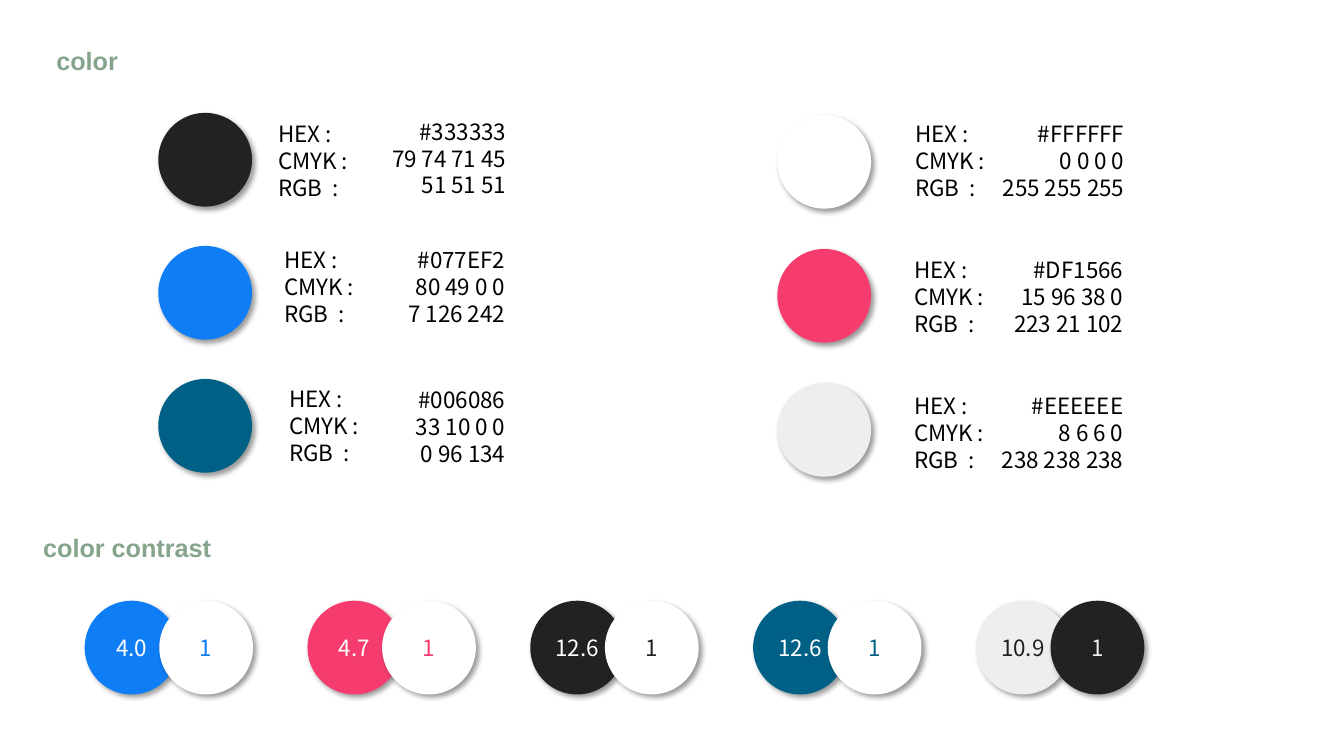
from lxml import etree
from pptx import Presentation
from pptx.dml.color import RGBColor
from pptx.enum.shapes import MSO_SHAPE
from pptx.enum.text import MSO_ANCHOR, MSO_AUTO_SIZE, PP_ALIGN
from pptx.oxml.ns import nsdecls
from pptx.util import Inches, Pt

OVAL = MSO_SHAPE.OVAL
MIDDLE = MSO_ANCHOR.MIDDLE
GROW = MSO_AUTO_SIZE.SHAPE_TO_FIT_TEXT
LEFT, CENTER, RIGHT = PP_ALIGN.LEFT, PP_ALIGN.CENTER, PP_ALIGN.RIGHT

HEADING_FONT = "Arial"
BODY_FONT = "Noto Sans CJK KR"
COLORS = {
    "heading": "86A48B",
    "text": "000000",
    "dark": "222222",
    "white": "FFFFFF",
    "blue": "0F7DF5",
    "pink": "F63C6E",
    "teal": "006086",
    "grey": "EEEEEE",
}
DIAMETER = 0.93
CODE_HEIGHT = 0.91
LABELS = ["HEX :", "CMYK :", "RGB  :"]

# fill, circle left and top, label left and top, values left, top and width, values
SWATCHES = [
    ("dark", 1.57, 1.12, 2.66, 1.14, 3.45, 1.12, 1.67,
     ["#333333", "79 74 71 45", "51 51 51"]),
    ("blue", 1.57, 2.44, 2.72, 2.39, 3.88, 2.39, 1.23,
     ["#077EF2", "80 49 0 0", "7 126 242"]),
    ("teal", 1.57, 3.76, 2.77, 3.77, 3.92, 3.78, 1.19,
     ["#006086", "33 10 0 0", "0 96 134"]),
    ("white", 7.71, 1.14, 8.98, 1.14, 9.77, 1.14, 1.48,
     ["#FFFFFF", "0 0 0 0", "255 255 255"]),
    ("pink", 7.71, 2.47, 8.97, 2.49, 9.88, 2.49, 1.36,
     ["#DF1566", "15 96 38 0", "223 21 102"]),
    ("grey", 7.71, 3.8, 8.97, 3.84, 9.76, 3.84, 1.48,
     ["#EEEEEE", "8 6 6 0", "238 238 238"]),
]

# back fill, ratio, ratio colour, front fill
CONTRASTS = [
    ("blue", "4.0", "white", "white"),
    ("pink", "4.7", "white", "white"),
    ("dark", "12.6", "white", "white"),
    ("teal", "12.6", "white", "white"),
    ("grey", "10.9", "dark", "dark"),
]
CONTRAST_LEFT, CONTRAST_TOP = 0.84, 5.96
CONTRAST_STEP, CONTRAST_OVERLAP = 2.21, 0.74


def rgb(name):
    return RGBColor.from_string(COLORS[name])


def write(frame, lines, *, size=16, font=BODY_FONT, color="text", bold=False, align=LEFT):
    frame.text = "\n".join(lines)
    for paragraph in frame.paragraphs:
        paragraph.alignment = align
        for run in paragraph.runs:
            run.font.size = Pt(size)
            run.font.name = font
            run.font.bold = bold
            run.font.color.rgb = rgb(color)


def add_text(slide, left, top, width, height, lines, wrap=False, **text_format):
    box = slide.shapes.add_textbox(Inches(left), Inches(top), Inches(width), Inches(height))
    write(box.text_frame, lines, **text_format)
    box.text_frame.word_wrap = wrap
    box.text_frame.auto_size = GROW


def add_soft_shadow(shape):
    shape.shadow.inherit = False
    effects = shape._element.spPr.find("{*}effectLst")
    effects.append(etree.fromstring(
        f'<a:outerShdw {nsdecls("a")} blurRad="{Pt(4)}" dist="{Pt(3)}" dir="2700000" '
        'algn="tl" rotWithShape="0"><a:srgbClr val="000000"><a:alpha val="40000"/>'
        '</a:srgbClr></a:outerShdw>'))


def add_circle(slide, left, top, fill, text=None, color="white"):
    circle = slide.shapes.add_shape(
        OVAL, Inches(left), Inches(top), Inches(DIAMETER), Inches(DIAMETER))
    circle.fill.solid()
    circle.fill.fore_color.rgb = rgb(fill)
    circle.line.fill.background()
    add_soft_shadow(circle)
    if text:
        frame = circle.text_frame
        frame.vertical_anchor = MIDDLE
        write(frame, [text], color=color, align=CENTER)


def add_swatch(slide, fill, left, top, label_left, label_top,
               values_left, values_top, values_width, values):
    add_circle(slide, left, top, fill)
    add_text(slide, label_left, label_top, 0.94, CODE_HEIGHT, LABELS)
    add_text(slide, values_left, values_top, values_width, CODE_HEIGHT, values, align=RIGHT)


def add_contrast_pair(slide, left, back, ratio, ratio_color, front):
    add_circle(slide, left, CONTRAST_TOP, back, ratio, ratio_color)
    add_circle(slide, left + CONTRAST_OVERLAP, CONTRAST_TOP, front, "1", back)


def add_heading(slide, left, top, width, text):
    add_text(slide, left, top, width, 0.4, [text],
             size=18, font=HEADING_FONT, color="heading", bold=True)


def main():
    presentation = Presentation()
    presentation.slide_width = Inches(13.33)
    presentation.slide_height = Inches(7.5)
    slide = presentation.slides.add_slide(presentation.slide_layouts[6])

    add_heading(slide, 0.46, 0.4, 0.82, "color")
    for swatch in SWATCHES:
        add_swatch(slide, *swatch)

    add_heading(slide, 0.33, 5.23, 1.9, "color contrast")
    for index, contrast in enumerate(CONTRASTS):
        add_contrast_pair(slide, CONTRAST_LEFT + index * CONTRAST_STEP, *contrast)

    presentation.save("out.pptx")


if __name__ == "__main__":
    main()
